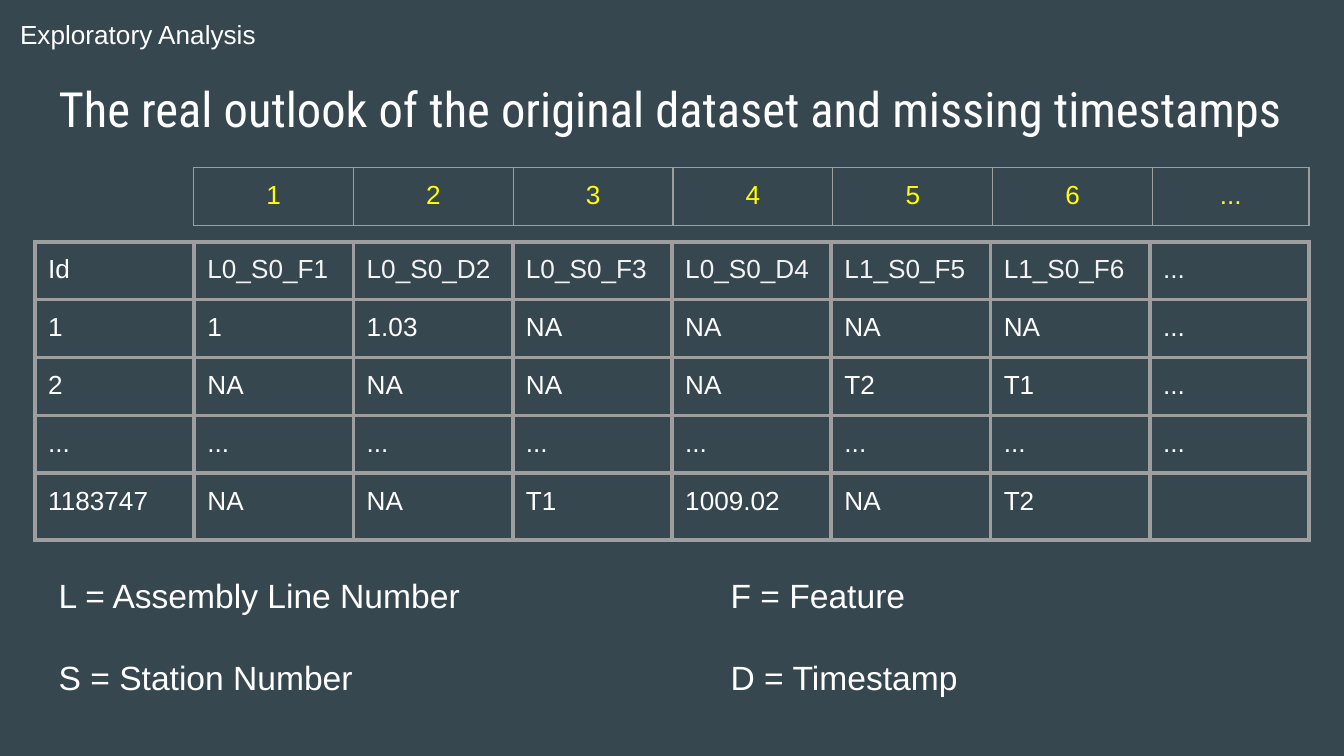
"""Build the slide on the dataset's layout and its missing timestamps."""
from lxml.etree import SubElement
from pptx import Presentation
from pptx.dml.color import RGBColor
from pptx.enum.text import PP_ALIGN
from pptx.oxml.ns import qn
from pptx.util import Cm, Pt

COLORS = {"background": "37474F", "text": "FFFFFF", "heading": "F3F3F3",
          "index": "FFFF00", "border": "9E9E9E"}

SECTION = "Exploratory Analysis"
TITLE = "The real outlook of the original dataset and missing timestamps"
INDEXES = ["1", "2", "3", "4", "5", "6", "..."]
RECORDS = [
    ["Id", "L0_S0_F1", "L0_S0_D2", "L0_S0_F3", "L0_S0_D4", "L1_S0_F5", "L1_S0_F6", "..."],
    ["1", "1", "1.03", "NA", "NA", "NA", "NA", "..."],
    ["2", "NA", "NA", "NA", "NA", "T2", "T1", "..."],
    ["..."] * 8,
    ["1183747", "NA", "NA", "T1", "1009.02", "NA", "T2", ""],
]
LEGEND = [("L = Assembly Line Number", "F = Feature"),
          ("S = Station Number", "D = Timestamp")]

ROW_HEIGHT = 1.06
INSET = Cm(0.25)
LEGEND_TAB = Cm(12.7)
LEGEND_GAP = Pt(22.5)
MARGINS = {"margin_left": INSET, "margin_right": INSET,
           "margin_top": INSET, "margin_bottom": INSET}


def apply(target, values):
    for name, value in values.items():
        setattr(target, name, value)


def write(paragraph, words, size, color, font="Arial"):
    run = paragraph.add_run()
    run.text = words
    apply(run.font, {"size": Pt(size), "name": font, "bold": False})
    run.font.color.rgb = RGBColor.from_string(COLORS[color])


def add_frame(slide, left, top, width, height, **changes):
    frame = slide.shapes.add_textbox(Cm(left), Cm(top), Cm(width), Cm(height)).text_frame
    apply(frame, {"word_wrap": True, **MARGINS, **changes})
    return frame


def add_borders(cell, weight):
    properties = cell._tc.get_or_add_tcPr()
    for side in ("a:lnL", "a:lnR", "a:lnT", "a:lnB"):
        line = SubElement(properties, qn(side), w=str(Pt(weight)))
        fill = SubElement(line, qn("a:solidFill"))
        SubElement(fill, qn("a:srgbClr"), val=COLORS["border"])


def add_grid(slide, left, top, widths, rows, weight, color_of, align):
    table = slide.shapes.add_table(len(rows), len(widths), Cm(left), Cm(top),
                                   Cm(sum(widths)), Cm(ROW_HEIGHT * len(rows))).table
    apply(table, {"first_row": False, "horz_banding": False})
    for column, width in zip(table.columns, widths):
        column.width = Cm(width)
    for r, row in enumerate(rows):
        table.rows[r].height = Cm(ROW_HEIGHT)
        for c, words in enumerate(row):
            cell = table.cell(r, c)
            apply(cell, MARGINS)
            add_borders(cell, weight)
            cell.fill.background()
            paragraph = cell.text_frame.paragraphs[0]
            paragraph.alignment = align
            if words:
                write(paragraph, words, 14, color_of(r, c))


def add_legend(slide):
    frame = add_frame(slide, 0.86, 9.8, 23.67, 3.96, margin_top=Cm(1.07))
    for i, pair in enumerate(LEGEND):
        paragraph = frame.add_paragraph() if i else frame.paragraphs[0]
        paragraph.alignment = PP_ALIGN.JUSTIFY
        if i:
            paragraph.space_before = LEGEND_GAP
        tabs = SubElement(paragraph._p.get_or_add_pPr(), qn("a:tabLst"))
        SubElement(tabs, qn("a:tab"), pos=str(LEGEND_TAB), algn="l")
        write(paragraph, "\t".join(pair), 18, "text")


def main():
    deck = Presentation()
    apply(deck, {"slide_width": Cm(25.4), "slide_height": Cm(14.29)})
    slide = deck.slides.add_slide(deck.slide_layouts[6])
    slide.background.fill.solid()
    slide.background.fill.fore_color.rgb = RGBColor.from_string(COLORS["background"])

    title = add_frame(slide, 0.86, 1.24, 23.67, 1.6)
    write(title.paragraphs[0], TITLE, 26, "text", "Roboto Condensed")
    add_grid(slide, 0.66, 4.57, [3.01] * 8, RECORDS, 2.25,
             lambda r, c: "heading" if r == 0 and c else "text", PP_ALIGN.LEFT)
    add_legend(slide)
    add_grid(slide, 3.66, 3.17, [3.02] * 6 + [2.96], [INDEXES], 0.75,
             lambda r, c: "index", PP_ALIGN.CENTER)
    section = add_frame(slide, 0.13, 0.1, 6.32, 0.71)
    write(section.paragraphs[0], SECTION, 14, "text")
    deck.save("out.pptx")


if __name__ == "__main__":
    main()
